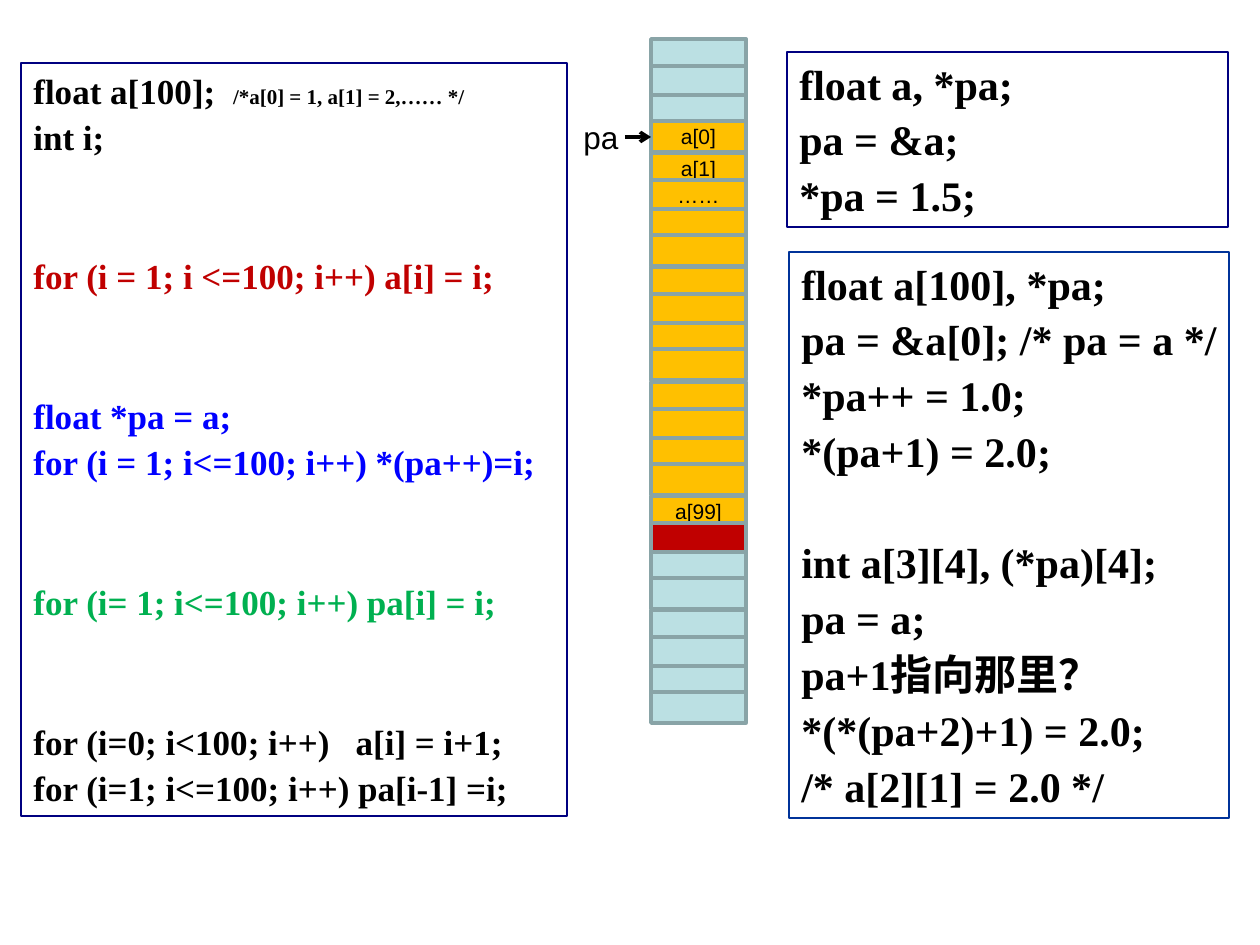
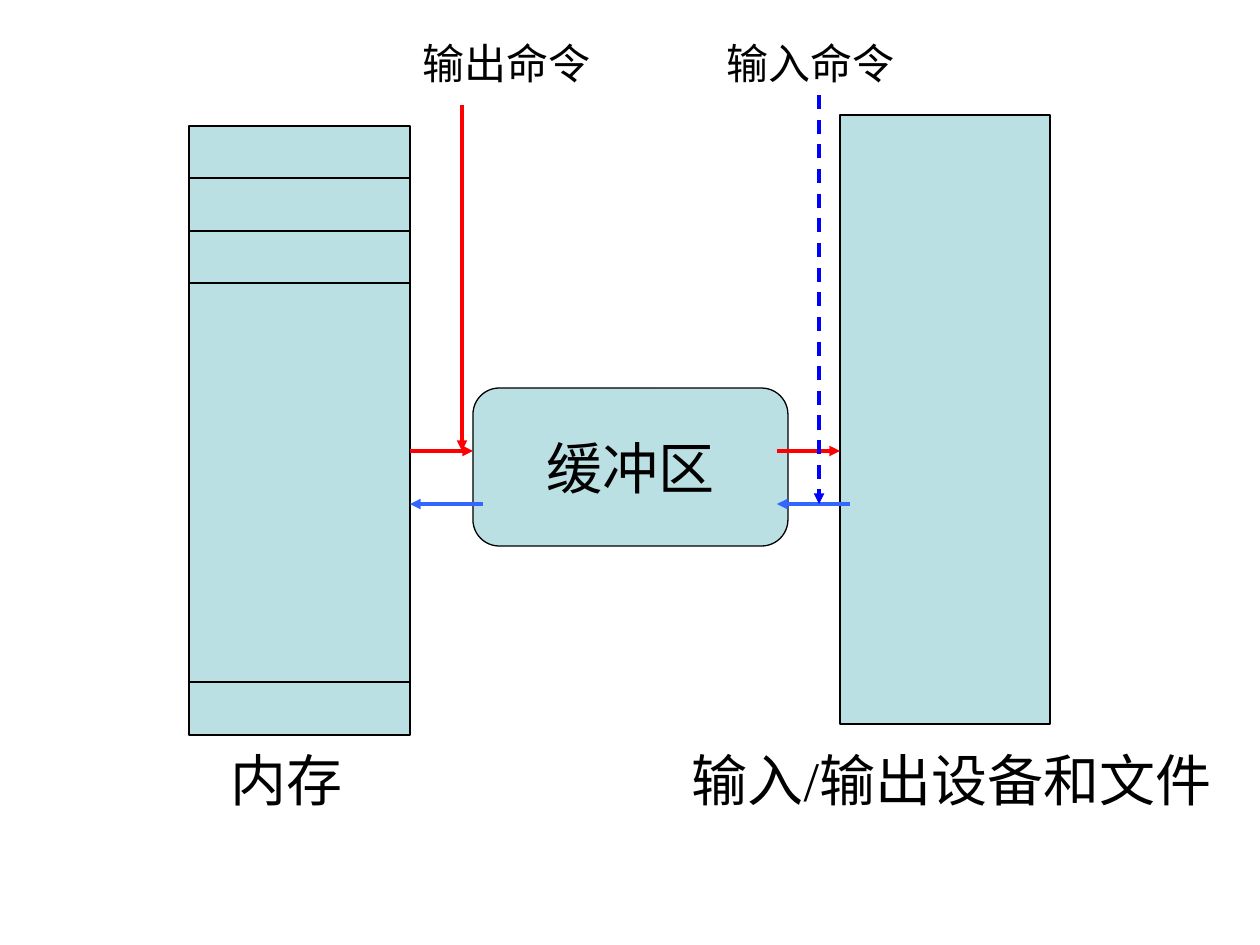
"""Build two slides: array pointers in memory, and buffered input and output."""
from lxml import etree
from pptx import Presentation
from pptx import util as u
from pptx.dml.color import RGBColor
from pptx.enum import dml, shapes, text
from pptx.oxml import ns

PX = 914400 / 126
COLORS = {
    "black": "000000", "navy": "000080", "deep_blue": "003399", "pale": "BBE0E3",
    "edge": "89A4A7", "gold": "FFC000", "crimson": "C00000", "green": "00B050",
    "red": "FF0000", "blue": "0000FF", "sky": "3366FF",
}
SERIF, SANS = "Times New Roman", "Arial"


def px(n):
    """Turn pixels into EMU."""
    return u.Emu(round(n * PX))


def rgb(name):
    """Look up a named colour."""
    return RGBColor.from_string(COLORS[name])


def write(tf, content, size=24, font=SERIF, color="black", bold=False,
          align=text.PP_ALIGN.LEFT, before=0, spacing=None, new=False):
    """Write one paragraph of (text, size) runs or plain text."""
    p = tf.add_paragraph() if new else tf.paragraphs[0]
    p.alignment = align
    if new:
        p.space_before = u.Pt(before)
    if spacing:
        p.line_spacing = spacing
    runs = [(content, size)] if isinstance(content, str) else content
    for words, points in runs:
        r = p.add_run()
        r.text = words
        r.font.size, r.font.name, r.font.bold = u.Pt(points), font, bold
        r.font.color.rgb = rgb(color)


def box(s, x, y, w, h, fill=None, line="black", width=0.75, label=None,
        kind=shapes.MSO_SHAPE.RECTANGLE, wrap=True, **fmt):
    """Draw an outlined shape with an optional centred label."""
    sp = s.shapes.add_shape(kind, px(x), px(y), px(w), px(h))
    sp.shadow.inherit = False
    if fill:
        sp.fill.solid()
        sp.fill.fore_color.rgb = rgb(fill)
    else:
        sp.fill.background()
    sp.line.color.rgb = rgb(line)
    sp.line.width = u.Pt(width)
    sp.text_frame.word_wrap = wrap
    if label:
        sp.text_frame.vertical_anchor = text.MSO_ANCHOR.MIDDLE
        write(sp.text_frame, label, align=text.PP_ALIGN.CENTER, **fmt)
    return sp


def code_box(s, x, y, w, h, lines, size, before, pitch, line="navy", wrap=True):
    """Draw a code listing from (text, colour, skipped lines) entries."""
    tf = box(s, x, y, w, h, line=line, width=1.5, wrap=wrap).text_frame
    tf.vertical_anchor = text.MSO_ANCHOR.TOP
    for i, (content, color, skipped) in enumerate(lines):
        write(tf, content, size=size, color=color, bold=True, new=i > 0,
              before=before + skipped * pitch, spacing=0.9 if i else None)


def label(s, x, y, w, h, content, **fmt):
    """Place a single line of free text."""
    sp = s.shapes.add_textbox(px(x), px(y), px(w), px(h))
    sp.text_frame.word_wrap = False
    write(sp.text_frame, content, **fmt)


def line(s, x1, y1, x2, y2, color="black", width=0.75, head=None, dashed=False):
    """Draw a straight line with an optional arrowhead at its end."""
    c = s.shapes.add_connector(shapes.MSO_CONNECTOR.STRAIGHT,
                               px(x1), px(y1), px(x2), px(y2))
    c.line.color.rgb = rgb(color)
    c.line.width = u.Pt(width)
    if dashed:
        c.line.dash_style = dml.MSO_LINE.DASH
    if head:
        etree.SubElement(c.line._get_or_add_ln(), ns.qn("a:tailEnd"), type=head)
    etree.SubElement(c._element.spPr, ns.qn("a:effectLst"))


def memory_column(s):
    """Stack the memory cells, with the array and the cell just past it."""
    labels = {3: "a[0]", 4: "a[1]", 5: "……", 16: "a[99]"}
    offsets = (0, 27, 56, 82)
    for i in range(24):
        group, place = divmod(i, 4)
        fill = "gold" if 3 <= i <= 16 else "crimson" if i == 17 else "pale"
        box(s, 651, 39 + round(114.25 * group) + offsets[place], 95, 31, fill,
            "edge", 2, labels.get(i), size=12, font=SANS)


def pointer_slide(s):
    """Show pointer code beside the memory that it walks through."""
    code_box(s, 787, 52, 441, 175, [
        ("float a, *pa;", "black", 0),
        ("pa = &a;", "black", 0),
        ("*pa = 1.5;", "black", 0),
    ], 24, 6, 31.9)
    code_box(s, 789, 252, 440, 566, [
        ("float a[100], *pa;", "black", 0),
        ("pa = &a[0]; /* pa = a */", "black", 0),
        ("*pa++ = 1.0;", "black", 0),
        ("*(pa+1) = 2.0;", "black", 0),
        ("int a[3][4], (*pa)[4];", "black", 1),
        ("pa = a;", "black", 0),
        ("pa+1指向那里？", "black", 0),
        ("*(*(pa+2)+1) = 2.0;", "black", 0),
        ("/* a[2][1] = 2.0 */", "black", 0),
    ], 24, 6, 31.9, line="deep_blue", wrap=False)
    code_box(s, 21, 63, 546, 753, [
        ([("float a[100];  ", 20), ("/*a[0] = 1, a[1] = 2,…… */", 12)], "black", 0),
        ("int i;", "black", 0),
        ("for (i = 1; i <=100; i++) a[i] = i;", "crimson", 2),
        ("float *pa = a;", "blue", 2),
        ("for (i = 1; i<=100; i++) *(pa++)=i;", "blue", 0),
        ("for (i= 1; i<=100; i++) pa[i] = i;", "green", 2),
        ("for (i=0; i<100; i++)   a[i] = i+1;", "black", 2),
        ("for (i=1; i<=100; i++) pa[i-1] =i;", "black", 0),
    ], 20, 5, 26.6)
    memory_column(s)
    label(s, 571, 112, 60, 50, "pa", size=18, font=SANS)
    line(s, 625, 137, 651, 137, width=2, head="arrow")


def buffer_slide(s):
    """Show data moving between memory, buffer and devices."""
    box(s, 189, 126, 221, 609, "pale")
    buffer = box(s, 473, 388, 315, 158, "pale", label="缓冲区", size=32, wrap=False,
                 kind=shapes.MSO_SHAPE.ROUNDED_RECTANGLE)
    buffer.adjustments[0] = 0.167
    box(s, 840, 115, 210, 609, "pale")
    for y in (178, 231, 283, 682):
        line(s, 189, y, 410, y)
    label(s, 218, 739, 137, 81, "内存", size=32)
    label(s, 679, 739, 572, 81, "输入/输出设备和文件", size=32)
    for x1, x2, y, color in ((410, 473, 451, "red"), (777, 840, 451, "red"),
                             (850, 777, 504, "sky"), (483, 410, 504, "sky")):
        line(s, x1, y, x2, y, color, 2, "triangle")
    line(s, 462, 105, 462, 451, "red", 2, "triangle")
    label(s, 410, 31, 193, 63, "输出命令")
    label(s, 714, 31, 193, 63, "输入命令")
    line(s, 819, 95, 819, 504, "blue", 2, "triangle", dashed=True)


def main():
    """Build and save the presentation."""
    prs = Presentation()
    prs.slide_width, prs.slide_height = px(1260), px(945)
    for build in (pointer_slide, buffer_slide):
        build(prs.slides.add_slide(prs.slide_layouts[6]))
    prs.save("out.pptx")


if __name__ == "__main__":
    main()
